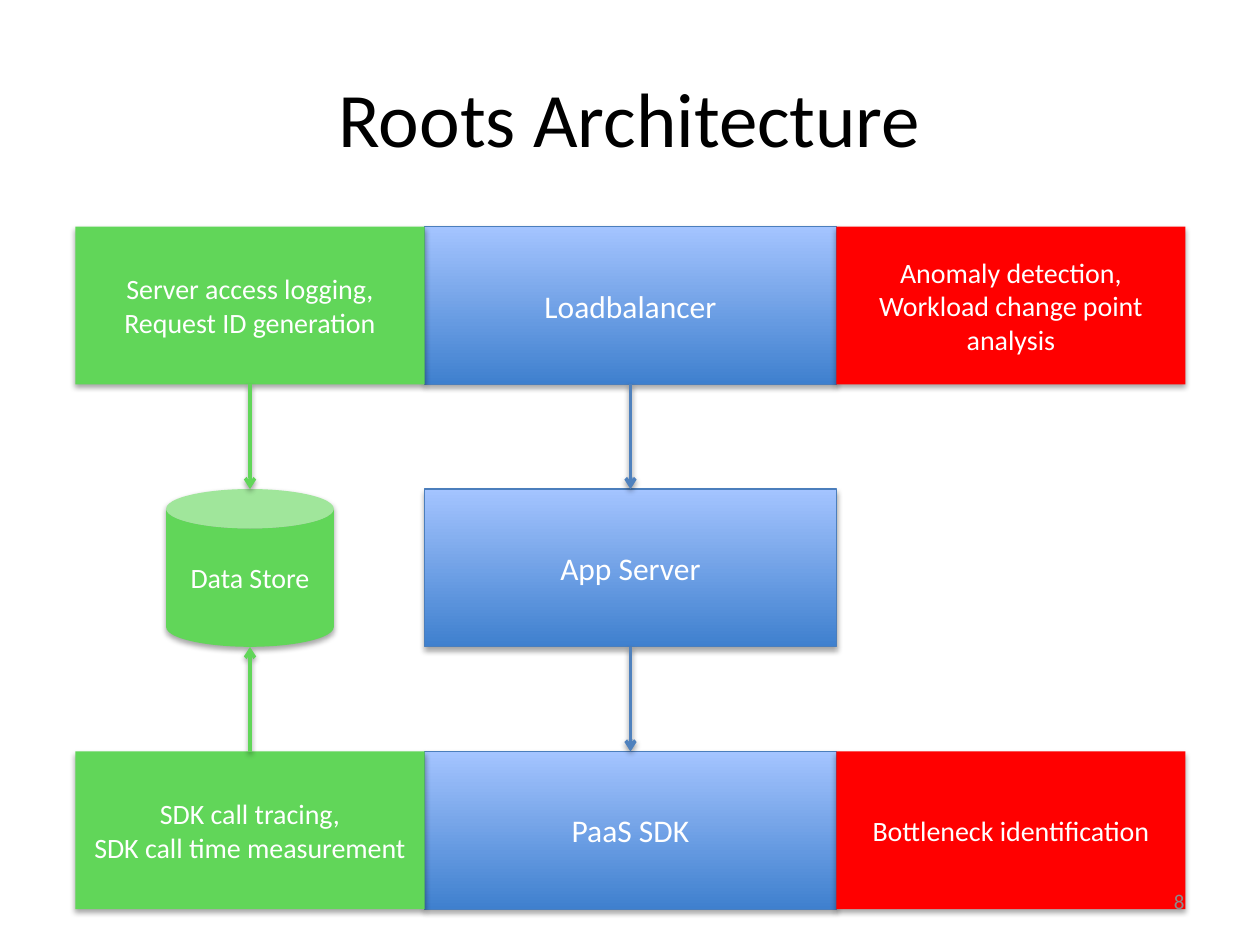
"""Build the Roots Architecture slide."""
import pptx
import pptx.dml.color
import pptx.enum.shapes
import pptx.enum.text
import pptx.oxml
import pptx.oxml.ns
import pptx.util

Cm, Pt = pptx.util.Cm, pptx.util.Pt
SHAPE = pptx.enum.shapes.MSO_SHAPE
ALIGN = pptx.enum.text.PP_ALIGN
MIDDLE = pptx.enum.text.MSO_ANCHOR.MIDDLE

GREEN, RED, BLUE, BLUE_EDGE = "61D659", "FF0000", "4F81BD", "4B7EBC"
BLUE_GRADIENT = ("3F80CE", "A4C4FF")
TITLE = "Roots Architecture"
PAGE_NUMBER = "8"
LAYERS = [
    {
        "column": 1, "fill": BLUE_GRADIENT, "size": 18,
        "boxes": [(2, "PaaS SDK"), (1, "App Server"), (0, "Loadbalancer")],
        "arrows": [(0, 1), (1, 2)], "arrow": BLUE,
    },
    {
        "column": 0, "fill": GREEN, "size": 16,
        "boxes": [
            (2, "SDK call tracing,\nSDK call time measurement"),
            (0, "Server access logging,\nRequest ID generation"),
            (1, "Data Store"),
        ],
        "arrows": [(0, 1), (2, 1)], "arrow": GREEN,
    },
    {
        "column": 2, "fill": RED, "size": 16,
        "boxes": [
            (0, "Anomaly detection,\nWorkload change point analysis"),
            (2, "Bottleneck identification"),
        ],
        "arrows": [], "arrow": RED,
    },
]
LEFT, TOP, BOX_HEIGHT, ROW_PITCH = 1.52, 4.57, 3.18, 5.29
COLUMN_WIDTHS = (7.04, 8.3, 7.04)
STORE_WIDTH = 3.38


def rgb(color):
    return pptx.dml.color.RGBColor.from_string(color)


def set_text(shape, text, size, color, align=ALIGN.CENTER):
    frame = shape.text_frame
    frame.text = text
    frame.word_wrap = True
    frame.vertical_anchor = MIDDLE
    for paragraph in frame.paragraphs:
        paragraph.alignment = align
        for run in paragraph.runs:
            run.font.name = "Calibri"
            run.font.size = Pt(size)
            run.font.color.rgb = rgb(color)


def add_shadow(properties, distance, opacity):
    old = properties.find(pptx.oxml.ns.qn("a:effectLst"))
    if old is not None:
        properties.remove(old)
    properties.append(pptx.oxml.parse_xml(
        f'<a:effectLst {pptx.oxml.ns.nsdecls("a")}>'
        f'<a:outerShdw blurRad="{Pt(3.15)}" dist="{Pt(distance)}" dir="5400000" rotWithShape="0">'
        f'<a:srgbClr val="000000"><a:alpha val="{opacity * 1000}"/></a:srgbClr>'
        '</a:outerShdw></a:effectLst>'
    ))


def add_box(slide, kind, center, row, width, text, layer):
    shape = slide.shapes.add_shape(
        kind, Cm(center - width / 2), Cm(TOP + row * ROW_PITCH), Cm(width), Cm(BOX_HEIGHT)
    )
    if layer["fill"] == BLUE_GRADIENT:
        shape.fill.gradient()
        shape.fill.gradient_angle = 90
        for stop, color in zip(shape.fill.gradient_stops, BLUE_GRADIENT):
            stop.color.rgb = rgb(color)
        shape.line.color.rgb = rgb(BLUE_EDGE)
        shape.line.width = Pt(0.75)
    else:
        shape.fill.solid()
        shape.fill.fore_color.rgb = rgb(layer["fill"])
        shape.line.fill.background()
    shape.shadow.inherit = False
    add_shadow(shape.element.spPr, 1.8, 35)
    set_text(shape, text, layer["size"], "FFFFFF")


def add_arrow(slide, center, start, end, color):
    start_top, end_top = (TOP + row * ROW_PITCH for row in (start, end))
    begin_y = start_top + (BOX_HEIGHT if end > start else 0)
    end_y = end_top + (BOX_HEIGHT if start > end else 0)
    arrow = slide.shapes.add_connector(
        pptx.enum.shapes.MSO_CONNECTOR.STRAIGHT, Cm(center), Cm(begin_y), Cm(center), Cm(end_y)
    )
    arrow.line.color.rgb = rgb(color)
    arrow.line.width = Pt(2)
    properties = arrow.element.spPr
    properties.find(pptx.oxml.ns.qn("a:ln")).append(
        pptx.oxml.parse_xml(f'<a:tailEnd {pptx.oxml.ns.nsdecls("a")} type="arrow"/>')
    )
    add_shadow(properties, 1.6, 38)


def main():
    presentation = pptx.Presentation()
    presentation.slide_width, presentation.slide_height = Cm(25.4), Cm(19.05)
    slide = presentation.slides.add_slide(presentation.slide_layouts[5])
    title = slide.shapes.title
    title.left, title.top, title.width, title.height = Cm(1.27), Cm(0.76), Cm(22.86), Cm(3.18)
    set_text(title, TITLE, 44, "000000")

    for layer in LAYERS:
        column = layer["column"]
        width = COLUMN_WIDTHS[column]
        center = LEFT + sum(COLUMN_WIDTHS[:column]) + width / 2
        for row, text in layer["boxes"]:
            is_store = text == "Data Store"
            kind = SHAPE.CAN if is_store else SHAPE.RECTANGLE
            add_box(slide, kind, center, row, STORE_WIDTH if is_store else width, text, layer)
        for start, end in layer["arrows"]:
            add_arrow(slide, center, start, end, layer["arrow"])

    number = slide.shapes.add_textbox(Cm(18.2), Cm(17.66), Cm(5.93), Cm(1.01))
    set_text(number, PAGE_NUMBER, 12, "8C8C8C", ALIGN.RIGHT)
    presentation.save("out.pptx")


if __name__ == "__main__":
    main()
